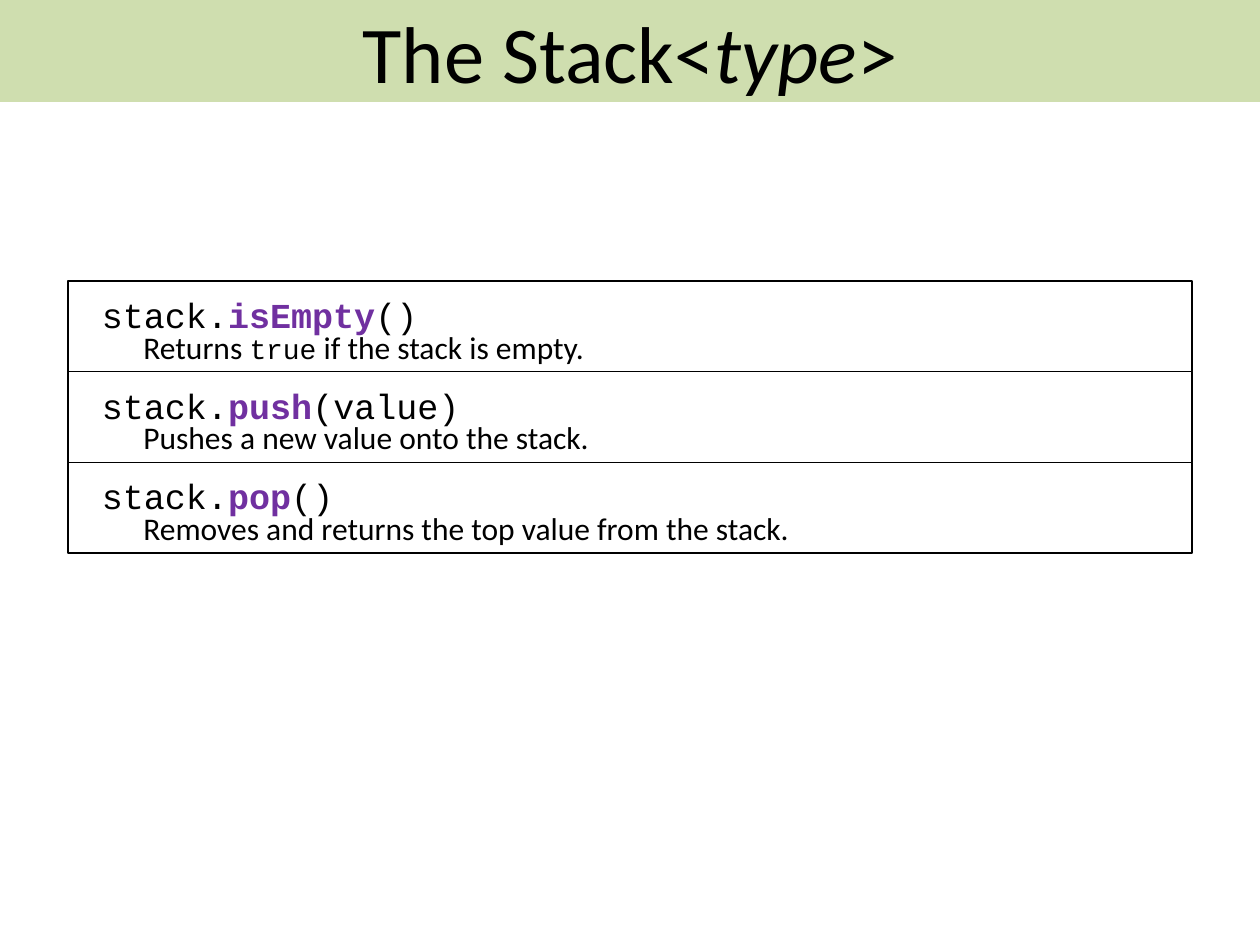
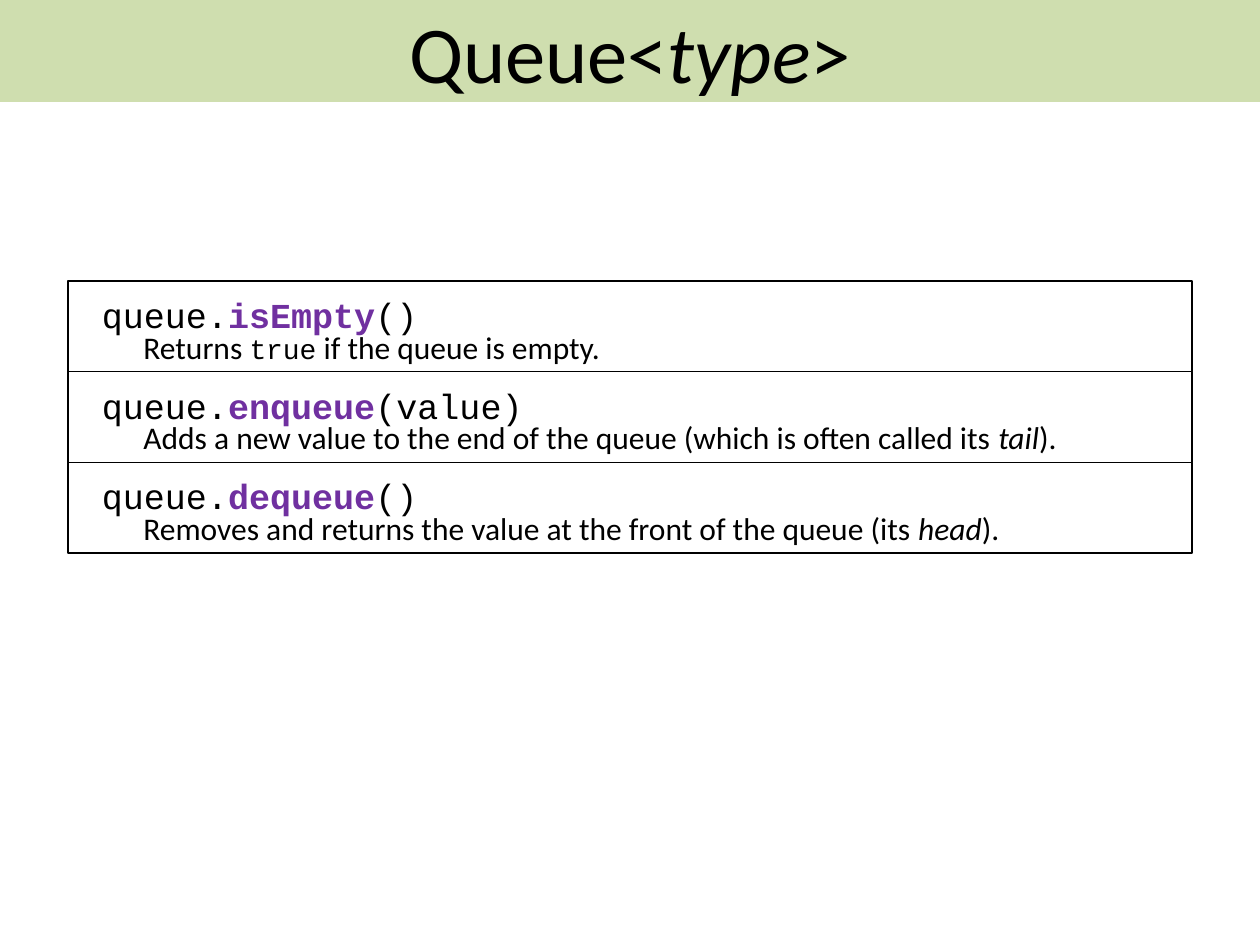
from dataclasses import dataclass

from lxml.etree import SubElement as Sub
from pptx import Presentation
from pptx.dml.color import RGBColor as Rgb
from pptx.enum.shapes import MSO_SHAPE as Shape
from pptx.enum.text import MSO_ANCHOR as Anchor, MSO_AUTO_SIZE as Fit, PP_ALIGN as Align
from pptx.oxml.ns import qn
from pptx.util import Inches, Pt


@dataclass(frozen=True)
class Style:
    """Look of one run of text."""
    face: str
    size: int
    color: str
    bold: bool = False
    slant: bool = False


@dataclass(frozen=True)
class Theme:
    """Colours, type styles and card grid for both slides."""
    band: str = "C3D69B"
    clear: int = 80
    paper: str = "FFFFFF"
    ink: str = "000000"
    head: Style = Style("Calibri", 46, "000000")
    type: Style = Style("Calibri", 46, "000000", slant=True)
    code: Style = Style("Courier New", 20, "000000")
    verb: Style = Style("Courier New", 20, "7030A0", bold=True)
    note: Style = Style("Calibri", 18, "000000")
    term: Style = Style("Calibri", 18, "000000", slant=True)
    word: Style = Style("Courier New", 16, "000000")
    left: float = 0.54
    top: float = 2.23
    wide: float = 8.92
    tall: float = 0.72


THEME = Theme()

STACK = [
    ("isEmpty", "()", [("Returns ", THEME.note), ("true", THEME.word),
                       (" if the stack is empty.", THEME.note)]),
    ("push", "(value)", [("Pushes a new value onto the stack.", THEME.note)]),
    ("pop", "()", [("Removes and returns the top value from the stack.", THEME.note)]),
]

QUEUE = [
    ("isEmpty", "()", [("Returns ", THEME.note), ("true", THEME.word),
                       (" if the queue is empty.", THEME.note)]),
    ("enqueue", "(value)", [
        ("Adds a new value to the end of the queue (which is often called its ", THEME.note),
        ("tail", THEME.term), (").", THEME.note)]),
    ("dequeue", "()", [
        ("Removes and returns the value at the front of the queue (its ", THEME.note),
        ("head", THEME.term), (").", THEME.note)]),
]


def add_runs(para, runs):
    """Append styled runs to a paragraph."""
    for text, style in runs:
        run = para.add_run()
        run.text = text
        font = run.font
        font.name, font.size = style.face, Pt(style.size)
        font.bold, font.italic = style.bold, style.slant
        font.color.rgb = Rgb.from_string(style.color)


def add_title(slide, name):
    """Turn the title placeholder into the tinted top band."""
    title = slide.shapes.title
    title.left, title.top = Inches(0), Inches(0)
    title.width, title.height = Inches(10), Inches(0.81)
    title.fill.solid()
    title.fill.fore_color.rgb = Rgb.from_string(THEME.band)
    tint = title.fill._xPr.find(qn("a:solidFill"))[0]
    Sub(tint, qn("a:alpha")).set("val", str(THEME.clear * 1000))
    frame = title.text_frame
    frame.auto_size = Fit.NONE
    frame.vertical_anchor = Anchor.MIDDLE
    para = frame.paragraphs[0]
    para.alignment = Align.CENTER
    add_runs(para, [(name + "<", THEME.head), ("type", THEME.type), (">", THEME.head)])


def add_text(shapes, box, inset, runs):
    """Add one wrapped line of text with a given top inset."""
    frame = shapes.add_textbox(*map(Inches, box)).text_frame
    frame.word_wrap = True
    frame.auto_size = Fit.NONE
    frame.margin_top = Inches(inset)
    add_runs(frame.paragraphs[0], runs)


def add_card(slide, top, call, note):
    """Add a framed group holding a method call and its meaning."""
    shapes = slide.shapes.add_group_shape().shapes
    box = (THEME.left, top, THEME.wide, THEME.tall)
    card = shapes.add_shape(Shape.RECTANGLE, *map(Inches, box))
    card.shadow.inherit = False
    card.fill.solid()
    card.fill.fore_color.rgb = Rgb.from_string(THEME.paper)
    card.line.color.rgb = Rgb.from_string(THEME.ink)
    card.line.width = Pt(0.75)
    add_text(shapes, (0.71, top - 0.01, 8.58, 0.43), 0.11, call)
    add_text(shapes, (1.04, top + 0.3, 8.4, 0.4), 0.07, note)


def add_page(deck, name, owner, calls):
    """Add a slide that lists the methods of one class."""
    slide = deck.slides.add_slide(deck.slide_layouts[5])
    add_title(slide, name)
    for row, (verb, args, note) in enumerate(calls):
        call = [(owner + ".", THEME.code), (verb, THEME.verb), (args, THEME.code)]
        add_card(slide, THEME.top + row * THEME.tall, call, note)


def main():
    """Build and save the deck."""
    deck = Presentation()
    deck.slide_width, deck.slide_height = Inches(10), Inches(7.5)
    add_page(deck, "The Stack", "stack", STACK)
    add_page(deck, "Queue", "queue", QUEUE)
    deck.save("out.pptx")


if __name__ == "__main__":
    main()
